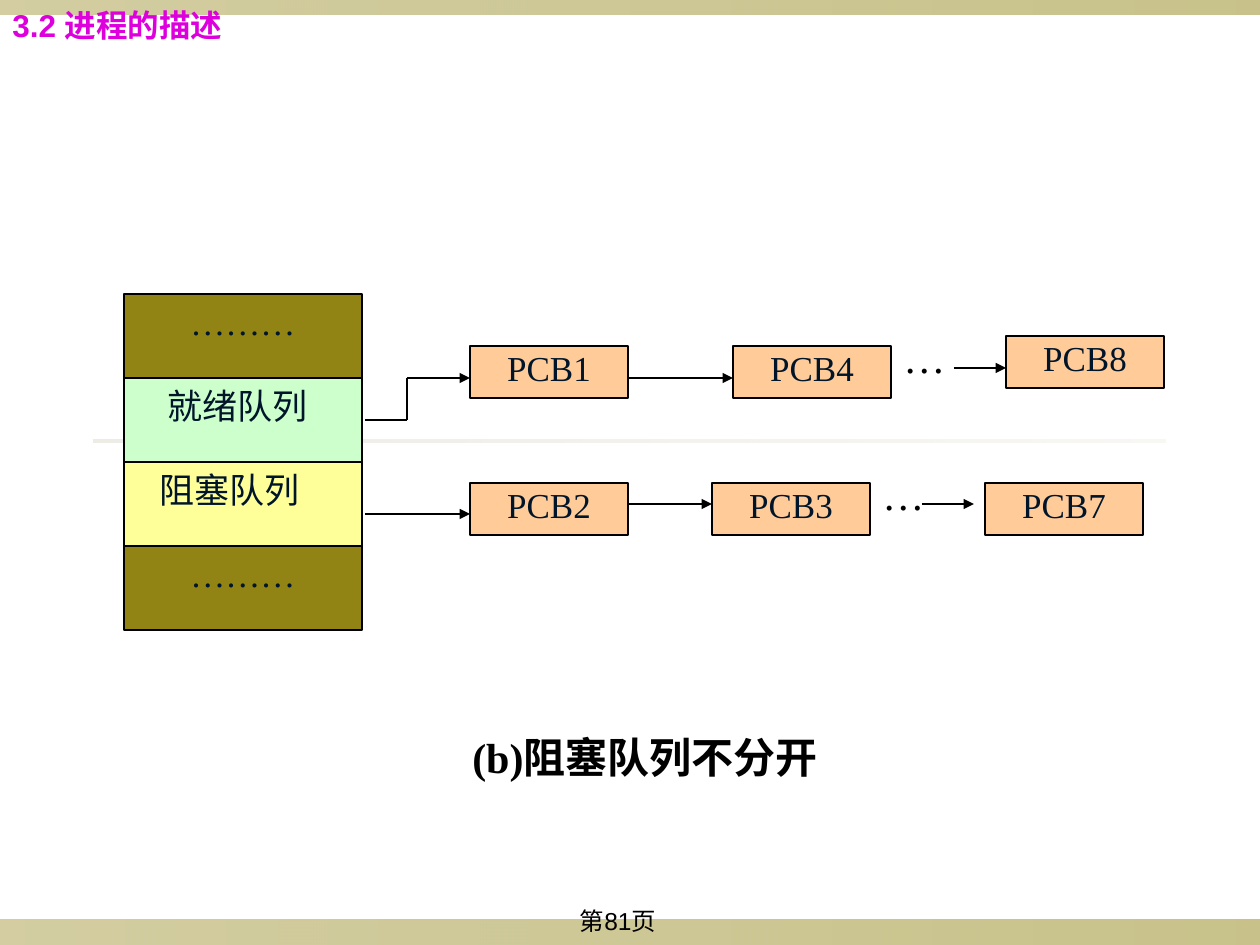
from lxml.etree import SubElement
from pptx import Presentation
from pptx.dml.color import RGBColor
from pptx.enum.shapes import MSO_CONNECTOR as Connector, MSO_SHAPE as Shape
from pptx.enum.text import MSO_ANCHOR as Anchor, PP_ALIGN as Align
from pptx.oxml.ns import qn
from pptx.util import Pt

BLACK = RGBColor(0, 0, 0)
NAVY = RGBColor(0x00, 0x15, 0x2A)
MAGENTA = RGBColor(0xDD, 0x00, 0xDD)
OLIVE = RGBColor(0x91, 0x84, 0x15)
SAND = RGBColor(0xDC, 0xD9, 0xCC)
GREEN = RGBColor(0xCC, 0xFF, 0xCC)
YELLOW = RGBColor(0xFF, 0xFF, 0x99)
PEACH = RGBColor(0xFF, 0xCC, 0x99)
SANS, SERIF = "Arial", "Times New Roman"

BANDS = [
    ((0, 920, 1260, 25), OLIVE, (40, 50)),
    ((0, 0, 1260, 15), OLIVE, (40, 50)),
    ((94, 440, 1072, 3), SAND, (50, 20)),
]
QUEUES = [
    ("………", OLIVE, Align.CENTER, 0),
    ("就绪队列", GREEN, Align.JUSTIFY, 31),
    ("阻塞队列", YELLOW, Align.JUSTIFY, 23),
    ("………", OLIVE, Align.CENTER, 0),
]
QUEUE_LEFT, QUEUE_TOP, QUEUE_WIDTH, QUEUE_HEIGHT = 124, 294, 238, 84
BLOCKS = [
    ("PCB1", 470, 346), ("PCB4", 733, 346), ("PCB8", 1006, 336),
    ("PCB2", 470, 483), ("PCB3", 712, 483), ("PCB7", 985, 483),
]
BLOCK_WIDTH, BLOCK_HEIGHT = 158, 52
ROUTES = [
    [(365, 420), (407, 420), (407, 378), (470, 378)],
    [(628, 378), (733, 378)],
    [(954, 368), (1006, 368)],
    [(365, 514), (470, 514)],
    [(628, 504), (712, 504)],
    [(922, 504), (974, 504)],
]
LABELS = [
    ("第81页", (471, 900, 294, 45), dict(size=14, font=SANS, align=Align.CENTER)),
    ("(b)阻塞队列不分开", (455, 725, 380, 63),
     dict(size=24, bold=True, align=Align.CENTER, wrap=False)),
    ("…", (891, 325, 53, 63), dict(size=24)),
    ("…", (870, 462, 53, 63), dict(size=24)),
    ("3.2 进程的描述", (0, 0, 263, 50),
     dict(size=18, font=SANS, color=MAGENTA, bold=True)),
]


def px(*lengths):
    return [round(length * 914400 / 126) for length in lengths]


def write(box, text, size=20, font=SERIF, color=BLACK, bold=False,
          align=Align.LEFT, spacing=None, indent=0, wrap=True):
    frame = box.text_frame
    frame.word_wrap = wrap
    frame.vertical_anchor = Anchor.TOP
    para = frame.paragraphs[0]
    para.alignment = align
    if spacing:
        para.line_spacing = spacing
    if indent:
        properties = para._p.get_or_add_pPr()
        properties.set("marL", str(px(indent)[0]))
        properties.set("indent", "0")
    span = para.add_run()
    span.text = text
    span.font.size = Pt(size)
    span.font.name = font
    span.font.bold = bold
    span.font.color.rgb = color


def add_rect(page, bounds):
    box = page.shapes.add_shape(Shape.RECTANGLE, *px(*bounds))
    box.shadow.inherit = False
    return box


def add_band(page, bounds, color, opacities):
    band = add_rect(page, bounds)
    band.line.fill.background()
    band.fill.gradient()
    band.fill.gradient_angle = 0
    for stop, opacity in zip(band.fill.gradient_stops, opacities):
        stop.color.rgb = color
    tints = band._element.spPr.iter(qn("a:srgbClr"))
    for tint, opacity in zip(list(tints), opacities):
        SubElement(tint, qn("a:alpha")).set("val", str(opacity * 1000))


def add_cell(page, bounds, text, fill, **text_format):
    cell = add_rect(page, bounds)
    cell.fill.solid()
    cell.fill.fore_color.rgb = fill
    cell.line.color.rgb = BLACK
    cell.line.width = Pt(0.75)
    write(cell, text, color=NAVY, **text_format)


def add_route(page, points):
    for start, end in zip(points, points[1:]):
        line = page.shapes.add_connector(Connector.STRAIGHT, *px(*start, *end))
        line.line.color.rgb = BLACK
        line.line.width = Pt(0.75)
        SubElement(line._element.spPr, qn("a:effectLst"))
    SubElement(line.line._get_or_add_ln(), qn("a:tailEnd")).set("type", "triangle")


def main():
    deck = Presentation()
    deck.slide_width, deck.slide_height = px(1260, 945)
    page = deck.slides.add_slide(deck.slide_layouts[6])
    for band in BANDS:
        add_band(page, *band)
    for row, (text, fill, align, indent) in enumerate(QUEUES):
        top = QUEUE_TOP + row * QUEUE_HEIGHT
        add_cell(page, (QUEUE_LEFT, top, QUEUE_WIDTH, QUEUE_HEIGHT), text, fill,
                 align=align, indent=indent)
    for text, left, top in BLOCKS:
        add_cell(page, (left, top, BLOCK_WIDTH, BLOCK_HEIGHT), text, PEACH,
                 align=Align.CENTER, spacing=0.86)
    for points in ROUTES:
        add_route(page, points)
    for text, bounds, text_format in LABELS:
        write(page.shapes.add_textbox(*px(*bounds)), text, **text_format)
    deck.save("out.pptx")


if __name__ == "__main__":
    main()
